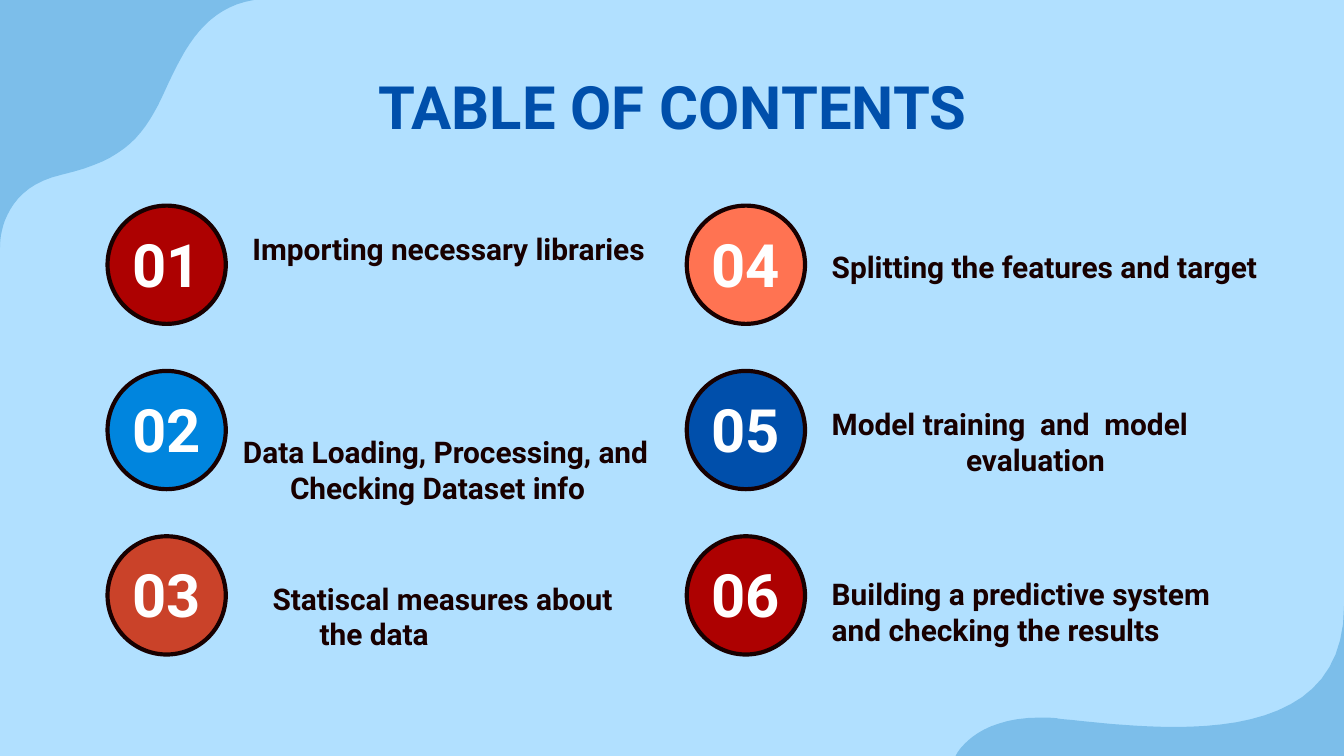
from pptx import Presentation
from pptx.dml.color import RGBColor
from pptx.enum.shapes import MSO_SHAPE
from pptx.enum.text import MSO_ANCHOR, PP_ALIGN
from pptx.util import Inches, Pt

WIDTH = 10
HEIGHT = WIDTH * 9 / 16
INK, NAVY, WHITE, WAVE = "180000", "004FAB", "FFFFFF", "7CBEEA"


def paint(target, color):
    """Give a fill a solid colour."""
    target.solid()
    target.fore_color.rgb = RGBColor.from_string(color)


def add_text(text, box, size, color, align=PP_ALIGN.LEFT,
             anchor=MSO_ANCHOR.MIDDLE, top_inset=0.1):
    """Add a bold Roboto text box and return its paragraph."""
    frame = slide.shapes.add_textbox(*map(Inches, box)).text_frame
    frame.word_wrap = True
    frame.vertical_anchor = anchor
    frame.margin_left = frame.margin_right = frame.margin_bottom = Inches(0.1)
    frame.margin_top = Inches(top_inset)
    frame.text = text
    paragraph = frame.paragraphs[0]
    paragraph.alignment = align
    for run in paragraph.runs:
        run.font.name, run.font.size, run.font.bold = "Roboto", Pt(size), True
        run.font.color.rgb = RGBColor.from_string(color)
    return paragraph


deck = Presentation()
deck.slide_width, deck.slide_height = Inches(WIDTH), Inches(HEIGHT)
slide = deck.slides.add_slide(deck.slide_layouts[6])
paint(slide.background.fill, "B1E0FF")

# Each corner wave: its corner, the curve's start, then cubic segments
waves = [
    ((0, 0), (0, 1.84), [
        ((0, 1.72), (0.05, 1.39), (0.46, 1.3)),
        ((0.94, 1.19), (1.08, 1), (1.23, 0.67)),
        ((1.38, 0.34), (1.53, 0.06), (1.89, 0))]),
    ((WIDTH, HEIGHT), (10, 4.51), [
        ((10, 5.26), (9.36, 5.41), (8.74, 5.41)),
        ((8.42, 5.41), (8.11, 5.37), (7.89, 5.35)),
        ((7.84, 5.34), (7.79, 5.34), (7.74, 5.34)),
        ((7.24, 5.34), (7.11, HEIGHT), (7.11, HEIGHT))]),
]
STEPS, UNITS = 16, 1000
for corner, start, curves in waves:
    outline = [start]
    for first, second, end in curves:
        begin = outline[-1]
        for step in range(1, STEPS + 1):
            t = step / STEPS
            weights = ((1 - t) ** 3, 3 * t * (1 - t) ** 2, 3 * t * t * (1 - t), t ** 3)
            outline.append(tuple(
                sum(w * p[axis] for w, p in zip(weights, (begin, first, second, end)))
                for axis in (0, 1)))
    builder = slide.shapes.build_freeform(
        *(UNITS * length for length in corner), scale=Inches(1) / UNITS)
    builder.add_line_segments([(UNITS * x, UNITS * y) for x, y in outline], close=True)
    wave = builder.convert_to_shape()
    wave.shadow.inherit = False
    paint(wave.fill, WAVE)
    wave.line.fill.background()

add_text("TABLE OF CONTENTS", (0.79, 0.42, 8.43, 0.65), 32, NAVY,
         PP_ALIGN.CENTER, MSO_ANCHOR.TOP)

# Topics run down the left column, then the right:
# colour, text, box, left margin and first-line indent
topics = [
    ("AD0101", "Importing necessary libraries", (1.78, 1.44, 3.55, 0.82), (0, 0)),
    ("0085DE", "Data Loading, Processing, and Checking Dataset info",
     (1.56, 2.92, 3.66, 1.15), (0.5, -0.35)),
    ("CA4229", "Statiscal measures about\vthe data",
     (1.78, 4.05, 3.47, 1.07), (0.5, -0.35)),
    ("FF7352", "Splitting the features and target", (6.09, 1.44, 3.91, 1.08), (0, 0)),
    (NAVY, "Model training  and  model\vevaluation",
     (6.09, 2.67, 3.48, 1.23), (1, -1)),
    ("AD0101", "Building a predictive system\vand checking the results",
     (6.09, 3.9, 3.85, 1.3), (0, 0)),
]
ROWS, DIAMETER = 3, 0.88
LEFT, TOP, COLUMN_STEP, ROW_STEP = 0.8, 1.53, 4.31, 1.23

for index, (color, topic, box, (margin, indent)) in enumerate(topics):
    column, row = divmod(index, ROWS)
    x, y = LEFT + column * COLUMN_STEP, TOP + row * ROW_STEP
    badge = slide.shapes.add_shape(
        MSO_SHAPE.OVAL, *map(Inches, (x, y, DIAMETER, DIAMETER)))
    badge.shadow.inherit = False
    paint(badge.fill, color)
    paint(badge.line.fill, INK)
    badge.line.width = Pt(2.25)
    add_text(f"{index + 1:02}", (x + 0.02, y + 0.15, 0.84, 0.58), 32, WHITE,
             PP_ALIGN.CENTER, top_inset=0.08)
    properties = add_text(topic, box, 16, INK)._p.get_or_add_pPr()
    properties.set("marL", str(Inches(margin)))
    properties.set("indent", str(Inches(indent)))

deck.save("out.pptx")
